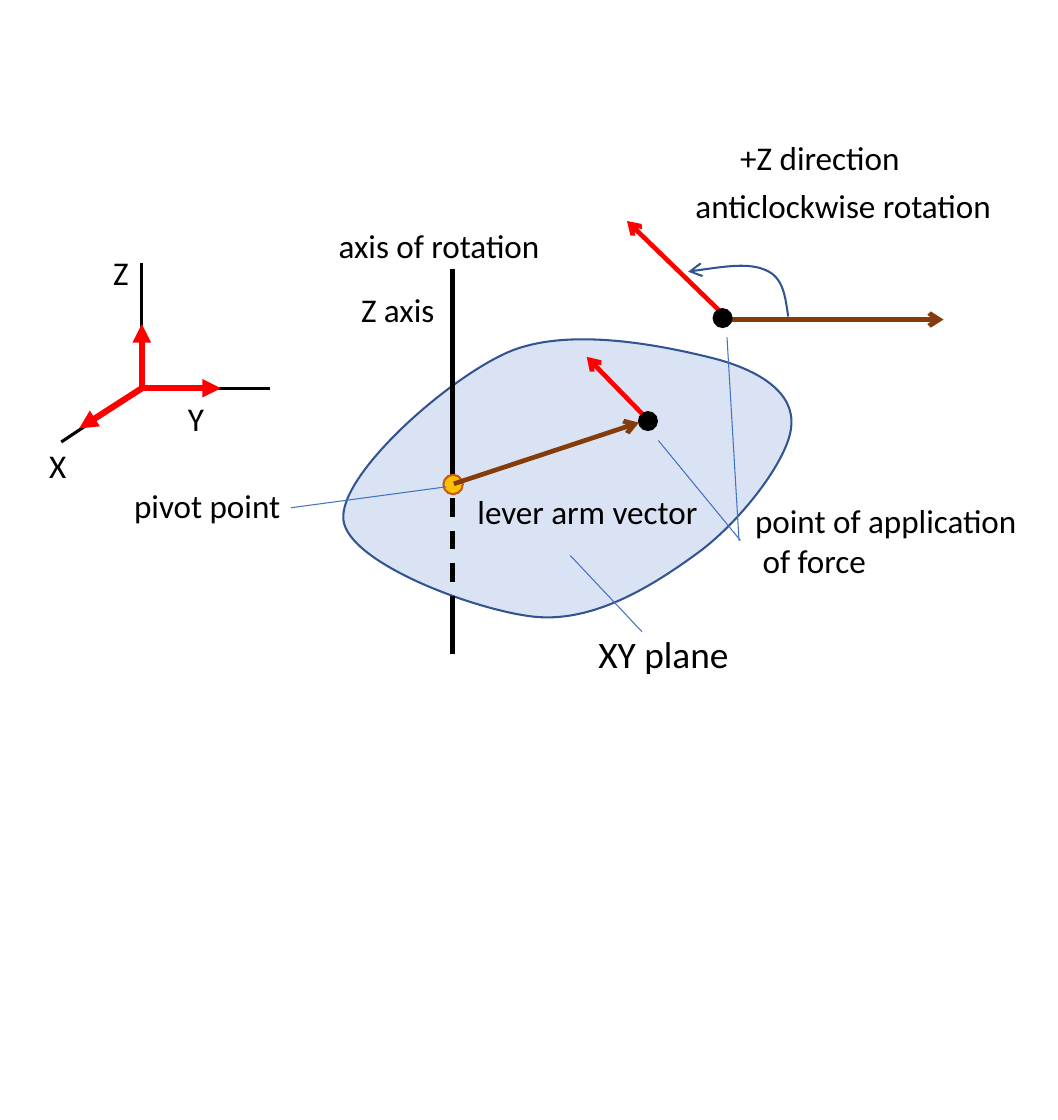
from pptx import Presentation
from pptx.dml.color import RGBColor
from pptx.enum.dml import MSO_LINE
from pptx.enum.shapes import MSO_CONNECTOR, MSO_SHAPE
from pptx.enum.text import MSO_AUTO_SIZE
from pptx.oxml.ns import qn
from pptx.util import Inches, Pt
from lxml.etree import SubElement

HUES = {
    "black": "000000", "red": "FF0000", "brown": "843C0B", "gold": "FFC000",
    "rust": "C55A11", "pale": "DAE3F3", "navy": "325491", "blue": "4472C4",
}


def hue(name):
    return RGBColor.from_string(HUES[name])


def place(box, x, y):
    return Inches(box[0] + x), Inches(box[1] + y)


def style(shape, color, width, head=None):
    shape.line.color.rgb = hue(color)
    shape.line.width = Pt(width)
    if head:
        SubElement(shape.element.spPr.find(qn("a:ln")), qn("a:tailEnd"), type=head)


def rule(shapes, box, start, end, color, width, head=None, dash=None):
    line = shapes.add_connector(
        MSO_CONNECTOR.STRAIGHT, *place(box, *start), *place(box, *end))
    style(line, color, width, head)
    if dash:
        line.line.dash_style = dash
    SubElement(line.element.spPr, qn("a:effectLst"))


def dot(shapes, box, x, y, size, fill, edge):
    mark = shapes.add_shape(
        MSO_SHAPE.OVAL, *place(box, x, y), Inches(size), Inches(size))
    mark.shadow.inherit = False
    mark.fill.solid()
    mark.fill.fore_color.rgb = hue(fill)
    style(mark, edge, 1)


def label(shapes, box, x, y, width, text, size=16):
    lines = text.split("\n")
    height = 0.1 + len(lines) * size / 60
    frame = shapes.add_textbox(
        *place(box, x, y), Inches(width), Inches(height)).text_frame
    frame.word_wrap = False
    frame.auto_size = MSO_AUTO_SIZE.SHAPE_TO_FIT_TEXT
    frame.text = text
    look = {"name": "Calibri", "size": Pt(size)}
    for para in frame.paragraphs:
        for key, value in look.items():
            setattr(para.font, key, value)
        para.font.color.rgb = hue("black")


def curve(shapes, box, points, close=False, fill=None, head=None):
    """Draw Bezier curves: a start, then three points for each piece."""
    spots = [place(box, *point) for point in points]
    pen = shapes.build_freeform(*spots[0])
    pen.add_line_segments(spots[1:], close=close)
    shape = pen.convert_to_shape()
    shape.shadow.inherit = False
    # Turn each run of three straight steps into one cubic piece
    steps = list(shape.element.iter(qn("a:lnTo")))
    for i in range(0, len(steps), 3):
        first, *rest = steps[i:i + 3]
        first.tag = qn("a:cubicBezTo")
        for step in rest:
            first.append(step[0])
            step.getparent().remove(step)
    if fill:
        shape.fill.solid()
        shape.fill.fore_color.rgb = hue(fill)
    else:
        shape.fill.background()
    style(shape, "navy", 1, head)


def draw_body(shapes, box):
    # Plane outline
    curve(shapes, box, [
        (2.78, 1.0),
        (2.46, 0.92), (1.81, 0.78), (1.4, 0.96),
        (0.99, 1.14), (0.27, 1.78), (0.3, 2.08),
        (0.33, 2.37), (1.19, 2.69), (1.58, 2.73),
        (1.97, 2.77), (2.36, 2.53), (2.65, 2.32),
        (2.95, 2.11), (3.29, 1.67), (3.3, 1.45),
        (3.32, 1.23), (3.09, 1.08), (2.78, 1.0),
    ], close=True, fill="pale")
    # Axis of rotation, dashed where hidden
    for top, end, dash in [
            (0.4, 1.77, None), (2.59, 2.98, None), (1.72, 2.55, MSO_LINE.DASH)]:
        rule(shapes, box, (1.03, top), (1.03, end), "black", 2.25, dash=dash)
    # Pivot, lever arm and force
    dot(shapes, box, 0.97, 1.78, 0.13, "gold", "rust")
    dot(shapes, box, 2.28, 1.36, 0.12, "black", "black")
    rule(shapes, box, (1.04, 1.84), (2.28, 1.43), "brown", 2.25, "arrow")
    rule(shapes, box, (2.3, 1.37), (1.93, 0.99), "red", 2.25, "arrow")
    label(shapes, box, 0.17, 0.06, 1.57, "axis of rotation")
    label(shapes, box, 0.32, 0.49, 0.7, "Z axis")
    label(shapes, box, 1.1, 1.84, 1.7, "lever arm vector")


def draw_axes(shapes, box):
    hub = (0.75, 1.0)
    group = shapes.add_group_shape().shapes
    for end in [(0.75, 0.16), (1.61, 1.0), (0.21, 1.36)]:
        rule(group, box, hub, end, "black", 1.5)
    for end in [(1.28, 1.0), (0.33, 1.27), (0.75, 0.57)]:
        rule(shapes, box, hub, end, "red", 3, "triangle")
    for x, y, name in [(0.03, 1.33, "X"), (0.46, 0.04, "Z"), (0.96, 1.02, "Y")]:
        label(shapes, box, x, y, 0.31, name)


def draw_turn(shapes, box):
    hub = (0.78, 1.34)
    rule(shapes, box, hub, (2.22, 1.34), "brown", 2.25, "arrow")
    rule(shapes, box, hub, (0.1, 0.68), "red", 2.25, "arrow")
    # Sense of rotation
    curve(shapes, box, [
        (1.18, 1.32),
        (1.16, 1.19), (1.15, 1.06), (1.03, 1.01),
        (0.92, 0.96), (0.71, 0.99), (0.51, 1.02),
    ], head="arrow")
    dot(shapes, box, 0.68, 1.27, 0.12, "black", "black")
    label(shapes, box, 0.76, 0.07, 1.28, "+Z direction")
    label(shapes, box, 0.46, 0.39, 2.21, "anticlockwise rotation")


def draw_notes(shapes, box):
    label(shapes, box, 0, 1.0, 1.19, "pivot point")
    label(shapes, box, 4.16, 1.1, 1.97, "point of application\n of force")
    label(shapes, box, 3.11, 1.98, 1.09, "XY plane", 18)
    # Leader lines
    for start, end in [
            ((3.5, 2.03), (3.02, 1.52)), ((4.16, 1.42), (3.61, 0.75)),
            ((4.15, 1.42), (4.07, 0.06)), ((1.15, 1.2), (2.19, 1.06))]:
        rule(shapes, box, start, end, "blue", 0.5)


def main():
    deck = Presentation()
    # 18 cm wide
    deck.slide_width, deck.slide_height = Inches(18 / 2.54), Inches(7.5)
    shapes = deck.slides.add_slide(deck.slide_layouts[6]).shapes
    draw_body(shapes, (2.0, 1.4))
    draw_axes(shapes, (0.2, 1.6))
    draw_turn(shapes, (4.1, 0.8))
    draw_notes(shapes, (0.8, 2.2))
    deck.save("out.pptx")


if __name__ == "__main__":
    main()
